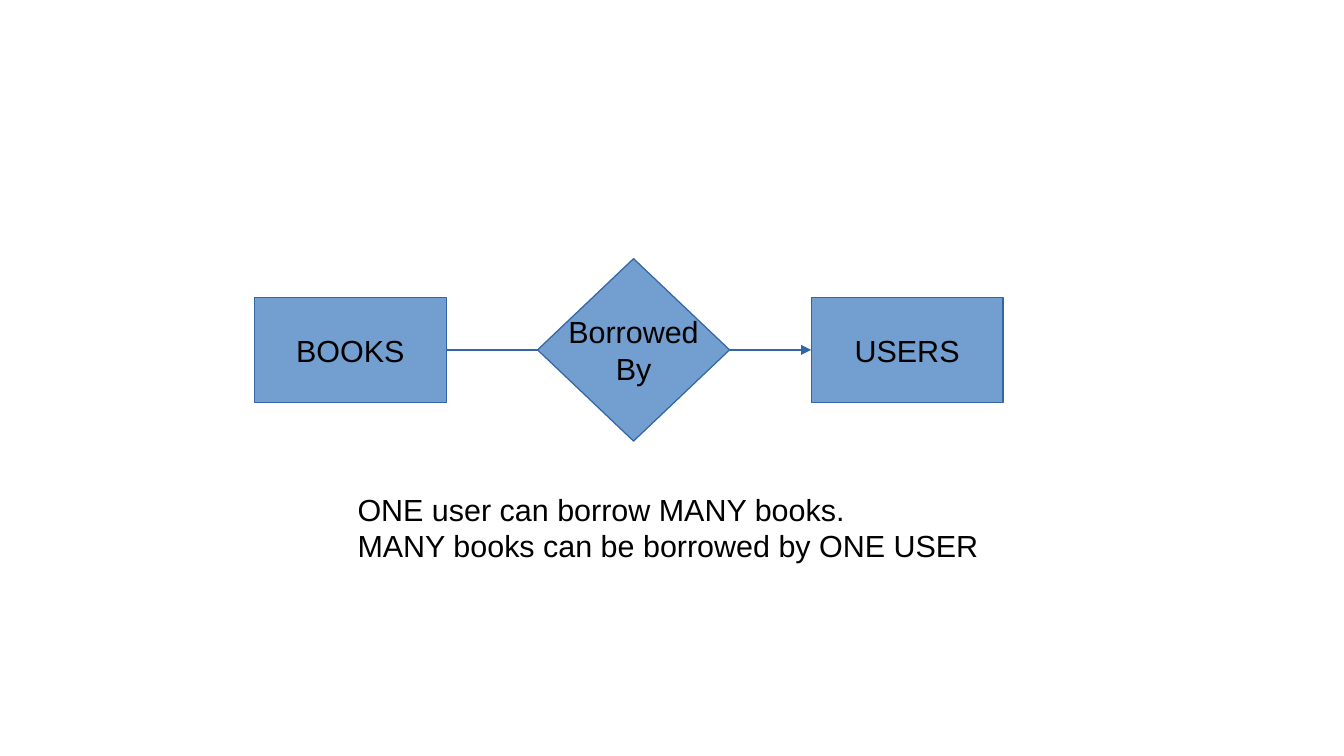
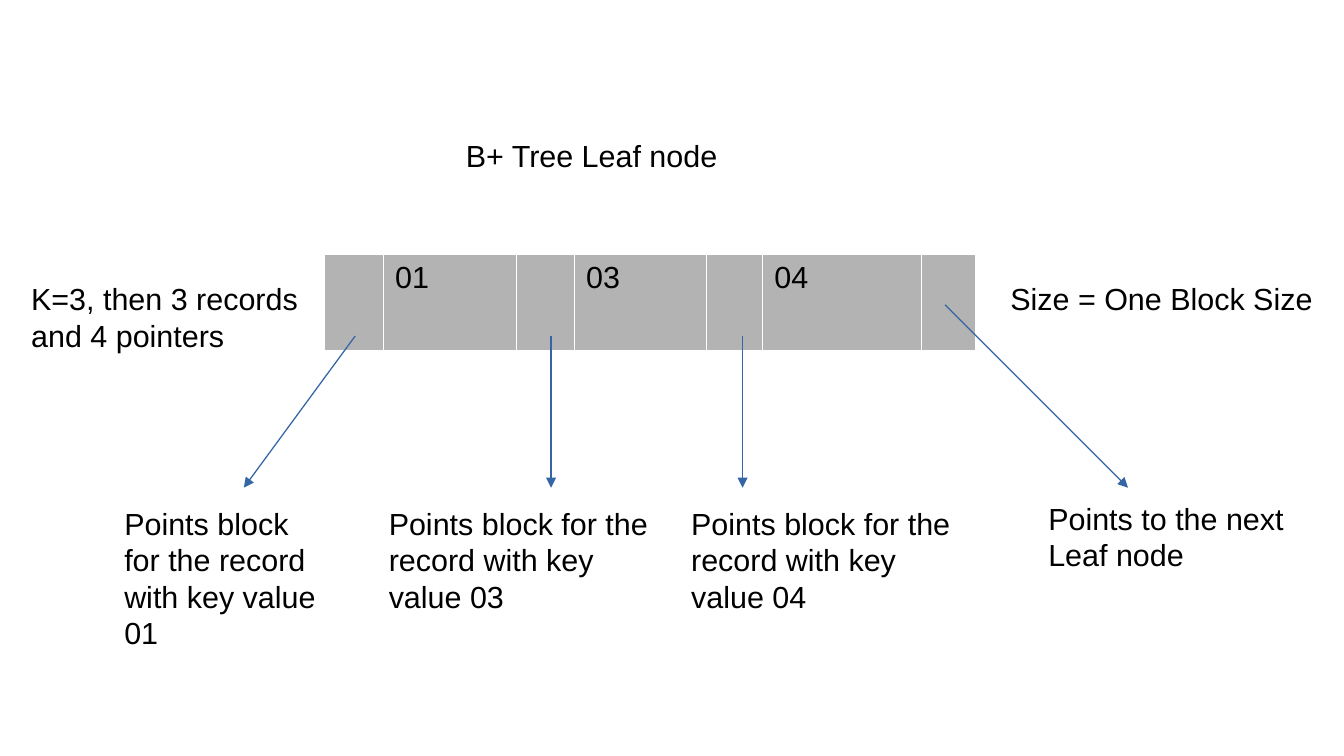
from typing import NamedTuple, Sequence

from lxml.etree import SubElement
from pptx import Presentation
from pptx.dml.color import RGBColor
from pptx.enum.shapes import MSO_CONNECTOR as Connector, MSO_SHAPE as Preset
from pptx.enum.text import MSO_ANCHOR as Anchor, MSO_AUTO_SIZE as AutoSize, PP_ALIGN as Align
from pptx.oxml import parse_xml
from pptx.oxml.ns import nsdecls, qn
from pptx.util import Cm, Pt

BLACK = RGBColor(0x00, 0x00, 0x00)
WHITE = RGBColor(0xFF, 0xFF, 0xFF)
BLUE = RGBColor(0x72, 0x9F, 0xCF)
DARK_BLUE = RGBColor(0x34, 0x65, 0xA4)
GREY = RGBColor(0xB3, 0xB3, 0xB3)
FONT = "Arial"
TEXT_SIZE = Pt(18)
LINE_WIDTH = Pt(0.75)
CELL_BORDER = Pt(0.06)
TITLE_ONLY, BLANK = 5, 6
RIGHT_SIDE, LEFT_SIDE = 3, 1


class Node(NamedTuple):
    lines: Sequence[str]
    preset: Preset
    left: float
    height: float


class Label(NamedTuple):
    lines: Sequence[str]
    left: float
    top: float
    width: float
    height: float


class Arrow(NamedTuple):
    start_x: float
    start_y: float
    end_x: float


NODE_WIDTH = 4
NODE_AXIS = 7.29
NODES = (
    Node(["BOOKS"], Preset.RECTANGLE, 5.3, 2.18),
    Node(["Borrowed", "By"], Preset.DIAMOND, 11.2, 3.8),
    Node(["USERS"], Preset.RECTANGLE, 16.9, 2.18),
)
RELATION_NOTE = Label(
    ["ONE user can borrow MANY books.", "MANY books can be borrowed by ONE USER"],
    7.2, 10.1, 19.8, 1.65,
)

LEAF_TITLE = Label(["B+ Tree Leaf node"], 9.45, 2.72, 8.25, 0.94)
LEAF_LEFT, LEAF_TOP, LEAF_HEIGHT = 6.75, 5.3, 2
LEAF_CELLS = (
    ("", 1.23), ("01", 2.78), ("", 1.2), ("03", 2.76),
    ("", 1.16), ("04", 3.32), ("", 1.12),
)
ARROW_END_Y = 10.16
POINTERS = (
    Arrow(7.4, 7, 5.08),
    Arrow(11.48, 7, 11.48),
    Arrow(15.47, 7, 15.47),
    Arrow(19.69, 6.35, 23.5),
)
RECORD_COLUMNS = (("01", 2.34, 4.7, 3.07), ("03", 7.85, 6.12, 2.36), ("04", 14.15, 6.12, 2.36))
LEAF_LABELS = (
    Label(["K=3, then 3 records and 4 pointers"], 0.4, 5.72, 6.99, 1.65),
    Label(["Size = One Block Size"], 20.8, 5.72, 6.99, 0.94),
    Label(["Points to the next Leaf node"], 21.59, 10.29, 5.72, 1.75),
    *(
        Label([f"Points block for the record with key value {key}"], left, 10.39, width, height)
        for key, left, width, height in RECORD_COLUMNS
    ),
)


def write_lines(frame, lines: Sequence[str], align: Align = Align.LEFT) -> None:
    for index, line in enumerate(lines):
        para = frame.add_paragraph() if index else frame.paragraphs[0]
        para.alignment = align
        para.font.size = TEXT_SIZE
        if line:
            span = para.add_run()
            span.text = line
            span.font.name = FONT
            span.font.size = TEXT_SIZE
            span.font.color.rgb = BLACK


def fill_label(box, label: Label) -> None:
    box.left, box.top = Cm(label.left), Cm(label.top)
    box.width, box.height = Cm(label.width), Cm(label.height)
    frame = box.text_frame
    frame.word_wrap = True
    frame.auto_size = AutoSize.NONE
    frame.vertical_anchor = Anchor.TOP
    write_lines(frame, label.lines)


def add_label(page, label: Label) -> None:
    fill_label(page.shapes.add_textbox(0, 0, 0, 0), label)


def add_node(page, node: Node):
    box = page.shapes.add_shape(
        node.preset, Cm(node.left), Cm(NODE_AXIS - node.height / 2),
        Cm(NODE_WIDTH), Cm(node.height),
    )
    box.shadow.inherit = False
    box.fill.solid()
    box.fill.fore_color.rgb = BLUE
    box.line.color.rgb = DARK_BLUE
    box.line.width = LINE_WIDTH
    box.text_frame.word_wrap = False
    box.text_frame.vertical_anchor = Anchor.MIDDLE
    write_lines(box.text_frame, node.lines, Align.CENTER)
    return box


def add_line(page, arrow: Arrow, end_y: float, head: bool = True):
    line = page.shapes.add_connector(
        Connector.STRAIGHT, Cm(arrow.start_x), Cm(arrow.start_y), Cm(arrow.end_x), Cm(end_y)
    )
    line.line.color.rgb = DARK_BLUE
    line.line.width = LINE_WIDTH
    if head:
        SubElement(line.line._get_or_add_ln(), qn("a:tailEnd"), type="triangle")
    SubElement(line._element.spPr, qn("a:effectLst"))
    return line


def join_nodes(page, first, second, head: bool) -> None:
    line = add_line(page, Arrow(0, NODE_AXIS, 1), NODE_AXIS, head)
    line.begin_connect(first, RIGHT_SIDE)
    line.end_connect(second, LEFT_SIDE)


def style_cell(cell) -> None:
    cell.fill.solid()
    cell.fill.fore_color.rgb = GREY
    properties = cell._tc.get_or_add_tcPr()
    for index, side in enumerate(("lnL", "lnR", "lnT", "lnB")):
        border = parse_xml(
            f'<a:{side} {nsdecls("a")} w="{int(CELL_BORDER)}"><a:solidFill>'
            f'<a:srgbClr val="{WHITE}"/></a:solidFill></a:{side}>'
        )
        properties.insert(index, border)


def add_leaf_node(page) -> None:
    width = sum(cell_width for _, cell_width in LEAF_CELLS)
    table = page.shapes.add_table(
        1, len(LEAF_CELLS), Cm(LEAF_LEFT), Cm(LEAF_TOP), Cm(width), Cm(LEAF_HEIGHT)
    ).table
    table.first_row = False
    table.horz_banding = False
    for index, (key, cell_width) in enumerate(LEAF_CELLS):
        table.columns[index].width = Cm(cell_width)
        cell = table.cell(0, index)
        style_cell(cell)
        write_lines(cell.text_frame, [key])


def build_relation_page(deck) -> None:
    page = deck.slides.add_slide(deck.slide_layouts[BLANK])
    books, borrowed, users = [add_node(page, node) for node in NODES]
    join_nodes(page, books, borrowed, head=False)
    join_nodes(page, borrowed, users, head=True)
    add_label(page, RELATION_NOTE)


def build_leaf_page(deck) -> None:
    page = deck.slides.add_slide(deck.slide_layouts[TITLE_ONLY])
    fill_label(page.shapes.title, LEAF_TITLE)
    add_leaf_node(page)
    for label in LEAF_LABELS:
        add_label(page, label)
    for pointer in POINTERS:
        add_line(page, pointer, ARROW_END_Y)


def main() -> None:
    deck = Presentation()
    deck.slide_width, deck.slide_height = Cm(28), Cm(15.75)
    build_relation_page(deck)
    build_leaf_page(deck)
    deck.save("out.pptx")


if __name__ == "__main__":
    main()
